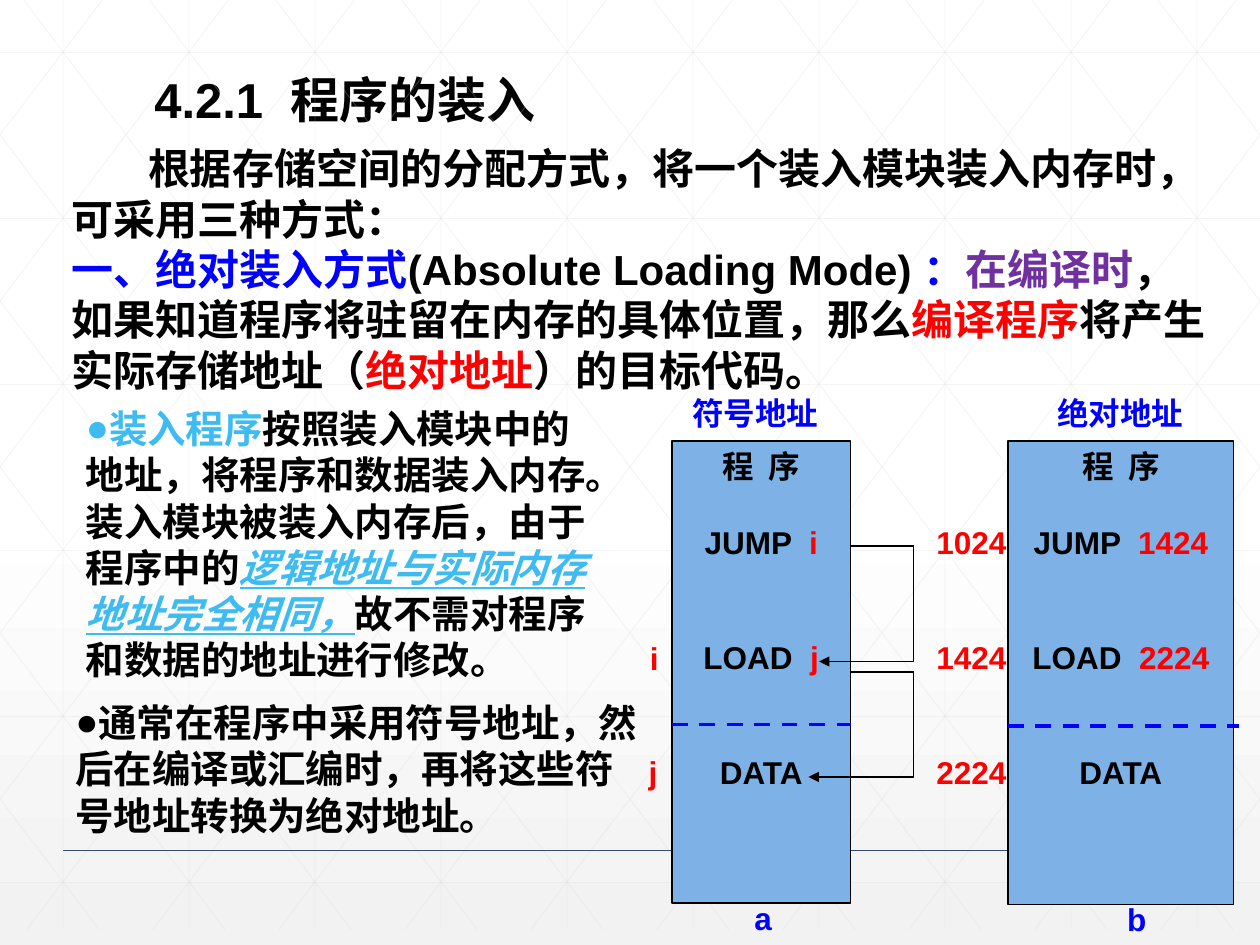
"""Build the slide on program loading with symbolic and absolute address diagrams."""
from dataclasses import dataclass
from typing import Any, Optional

from lxml.etree import SubElement
from pptx import Presentation
from pptx.dml.color import RGBColor
from pptx.enum.dml import MSO_LINE
from pptx.enum.shapes import MSO_CONNECTOR, MSO_SHAPE
from pptx.enum.text import MSO_ANCHOR, MSO_AUTO_SIZE, PP_ALIGN
from pptx.oxml.ns import qn
from pptx.util import Pt

BLACK = RGBColor(0x00, 0x00, 0x00)
WHITE = RGBColor(0xFF, 0xFF, 0xFF)
BLUE = RGBColor(0x00, 0x00, 0xFF)
RED = RGBColor(0xFF, 0x00, 0x00)
PURPLE = RGBColor(0x70, 0x30, 0xA0)
SKY = RGBColor(0x3E, 0xBB, 0xF0)
BLOCK = RGBColor(0x7E, 0xB2, 0xE6)
RULE = RGBColor(0x38, 0x4C, 0x81)
GRID = RGBColor(0xD9, 0xD9, 0xD9)
PALE = RGBColor(0xF2, 0xF2, 0xF2)

WIDTH, HEIGHT = 720, 540
GRID_STEP, GRID_BOTTOM, DIAGONAL_RUN = 72, 531, 403


@dataclass
class Run:
    text: str
    color: RGBColor = BLACK
    emphasis: bool = False


@dataclass
class Para:
    runs: list[Run]
    indent: float = 0
    before: float = 0
    bullet: str = ""
    align: PP_ALIGN = PP_ALIGN.LEFT


@dataclass
class Label:
    text: str
    x: float
    y: float
    w: float
    color: RGBColor
    indent: float = 0


@dataclass
class Memory:
    x: float
    w: float
    h: float
    jump: str
    load: str


@dataclass
class Stroke:
    color: RGBColor = BLACK
    width: float = 0.75
    dash: Optional[MSO_LINE] = None
    alpha: int = 100
    arrow: bool = False


LABELS = [
    Label("符号地址", 384, 221.8, 108, BLUE, 4.5),
    Label("绝对地址", 597, 221.8, 108, BLUE),
    Label("i", 364.3, 361.5, 20, RED),
    Label("j", 363.6, 426.5, 20, RED),
    Label("1024", 528, 295.2, 62, RED),
    Label("1424", 528, 361, 62, RED),
    Label("2224", 528, 427, 62, RED),
    Label("a", 424, 510, 32, BLUE),
    Label("b", 637, 511, 32, BLUE),
]
MEMORIES = [Memory(384, 102, 264, "i", "j"), Memory(576, 129, 265, "1424", "2224")]


def apply(obj: Any, fmt: dict[str, Any]) -> None:
    for name, value in fmt.items():
        setattr(obj, name, value)


def write(tf: Any, paras: list[Para], size: float, wrap: bool = True) -> None:
    apply(tf, {"word_wrap": wrap, "auto_size": MSO_AUTO_SIZE.NONE,
               "vertical_anchor": MSO_ANCHOR.TOP})
    for i, para in enumerate(paras):
        p = tf.add_paragraph() if i else tf.paragraphs[0]
        apply(p, {"alignment": para.align, "space_before": Pt(para.before)})
        pPr = p._p.get_or_add_pPr()
        pPr.set("marL", "0")
        pPr.set("indent", str(Pt(para.indent)))
        if para.bullet:
            SubElement(pPr, qn("a:buFont"), typeface="Arial")
            SubElement(pPr, qn("a:buChar"), char=para.bullet)
        for run in para.runs:
            r = p.add_run()
            r.text = run.text
            apply(r.font, {"name": "Arial", "size": Pt(size), "bold": True,
                           "italic": run.emphasis, "underline": run.emphasis})
            r.font.color.rgb = run.color


def add_text(s: Any, box: tuple, paras: list[Para], size: float, wrap: bool = True) -> None:
    sp = s.shapes.add_textbox(*map(Pt, box))
    write(sp.text_frame, paras, size, wrap)


def add_line(s: Any, start: tuple, end: tuple, stroke: Stroke) -> Any:
    sp = s.shapes.add_connector(MSO_CONNECTOR.STRAIGHT, *map(Pt, start + end))
    sp.line.color.rgb = stroke.color
    apply(sp.line, {"width": Pt(stroke.width), "dash_style": stroke.dash})
    if stroke.alpha < 100:
        clr = sp.line._get_or_add_ln().find(".//" + qn("a:srgbClr"))
        SubElement(clr, qn("a:alpha"), val=str(stroke.alpha * 1000))
    if stroke.arrow:
        SubElement(sp.line._get_or_add_ln(), qn("a:tailEnd"), type="triangle")
    SubElement(sp._element.spPr, qn("a:effectLst"))
    return sp


def add_background(s: Any) -> None:
    fill = s.background.fill
    fill.gradient()
    fill.gradient_angle = 270
    for stop, position, color in zip(fill.gradient_stops, (0.53, 1), (WHITE, PALE)):
        stop.position = position
        stop.color.rgb = color
    stroke = Stroke(GRID, 0.5, alpha=25)
    for i in range(10):
        x = 36 + i * GRID_STEP
        add_line(s, (x, 0), (x, GRID_BOTTOM), stroke)
    slope = GRID_BOTTOM / DIAGONAL_RUN
    for i in range(6):
        y = 30 + i * GRID_STEP * slope
        add_line(s, (0, y), (WIDTH, y), stroke)
    for i in range(-5, 10):
        top = 13.5 + i * GRID_STEP
        x1, x2 = max(top, 0), min(top + DIAGONAL_RUN, WIDTH)
        y1, y2 = (x1 - top) * slope, (x2 - top) * slope
        add_line(s, (x1, y1), (x2, y2), stroke)
        add_line(s, (WIDTH - x1, y1), (WIDTH - x2, y2), stroke)


def add_memory(s: Any, m: Memory) -> Any:
    sp = s.shapes.add_shape(MSO_SHAPE.RECTANGLE, *map(Pt, (m.x, 252, m.w, m.h)))
    sp.shadow.inherit = False
    sp.fill.solid()
    sp.fill.fore_color.rgb = BLOCK
    sp.line.color.rgb = BLACK
    sp.line.width = Pt(0.75)
    rows = [(0, [Run("程  序")]), (22, [Run("JUMP  "), Run(m.jump, RED)]),
            (44, [Run("LOAD  "), Run(m.load, RED)]), (44, [Run("DATA")])]
    write(sp.text_frame, [Para(runs, before=gap, align=PP_ALIGN.CENTER)
                          for gap, runs in rows], 18, False)
    return sp


def add_jump(s: Any, y1: float, y2: float, tip: float) -> Any:
    first = add_line(s, (486, y1), (522, y1), Stroke())
    add_line(s, (522, y1), (522, y2), Stroke())
    add_line(s, (522, y2), (tip, y2), Stroke(arrow=True))
    return first


def main() -> None:
    prs = Presentation()
    apply(prs, {"slide_width": Pt(WIDTH), "slide_height": Pt(HEIGHT)})
    s = prs.slides.add_slide(prs.slide_layouts[5])
    add_background(s)
    add_line(s, (36, 486), (684, 486), Stroke(RULE, 1))
    title = s.shapes.title
    apply(title, dict(zip(("left", "top", "width", "height"), map(Pt, (81, 36, 241, 41)))))
    write(title.text_frame, [Para([Run("4.2.1  程序的装入")])], 28, False)
    add_text(s, (34, 78, 666, 152.5), [
        Para([Run("根据存储空间的分配方式，将一个装入模块装入内存时，可采用三种方式：")], indent=43.5),
        Para([Run("一、绝对装入方式", BLUE), Run("(Absolute Loading Mode) "), Run("：", BLUE),
              Run("在编译时", PURPLE), Run("，如果知道程序将驻留在内存的具体位置，那么"),
              Run("编译程序", RED), Run("将产生实际存储地址（"), Run("绝对地址", RED),
              Run("）的目标代码。")])], 24)
    symbolic, _ = [add_memory(s, m) for m in MEMORIES]
    add_jump(s, 312, 378, 468)
    add_jump(s, 384, 444, 462).begin_connect(symbolic, 3)
    add_line(s, (384, 414), (486, 414), Stroke(BLUE, 2.25, MSO_LINE.DASH))
    add_line(s, (576, 414.7), (708, 414.7), Stroke(BLUE, 2.25, MSO_LINE.DASH))
    for lb in LABELS:
        add_text(s, (lb.x, lb.y, lb.w, 29), [Para([Run(lb.text, lb.color)], lb.indent)], 18)
    add_text(s, (36, 396, 336, 89), [Para([
        Run("通常在程序中采用符号地址，然后在编译或汇编时，再将这些符号地址转换为绝对地址。")],
        bullet="●")], 22)
    add_text(s, (42, 228, 312, 167), [Para([
        Run("装入程序", SKY),
        Run("按照装入模块中的地址，将程序和数据装入内存。装入模块被装入内存后，由于程序中的"),
        Run("逻辑地址与实际内存地址完全相同，", SKY, True),
        Run("故不需对程序和数据的地址进行修改。")], bullet="●")], 22)
    prs.save("out.pptx")


if __name__ == "__main__":
    main()
